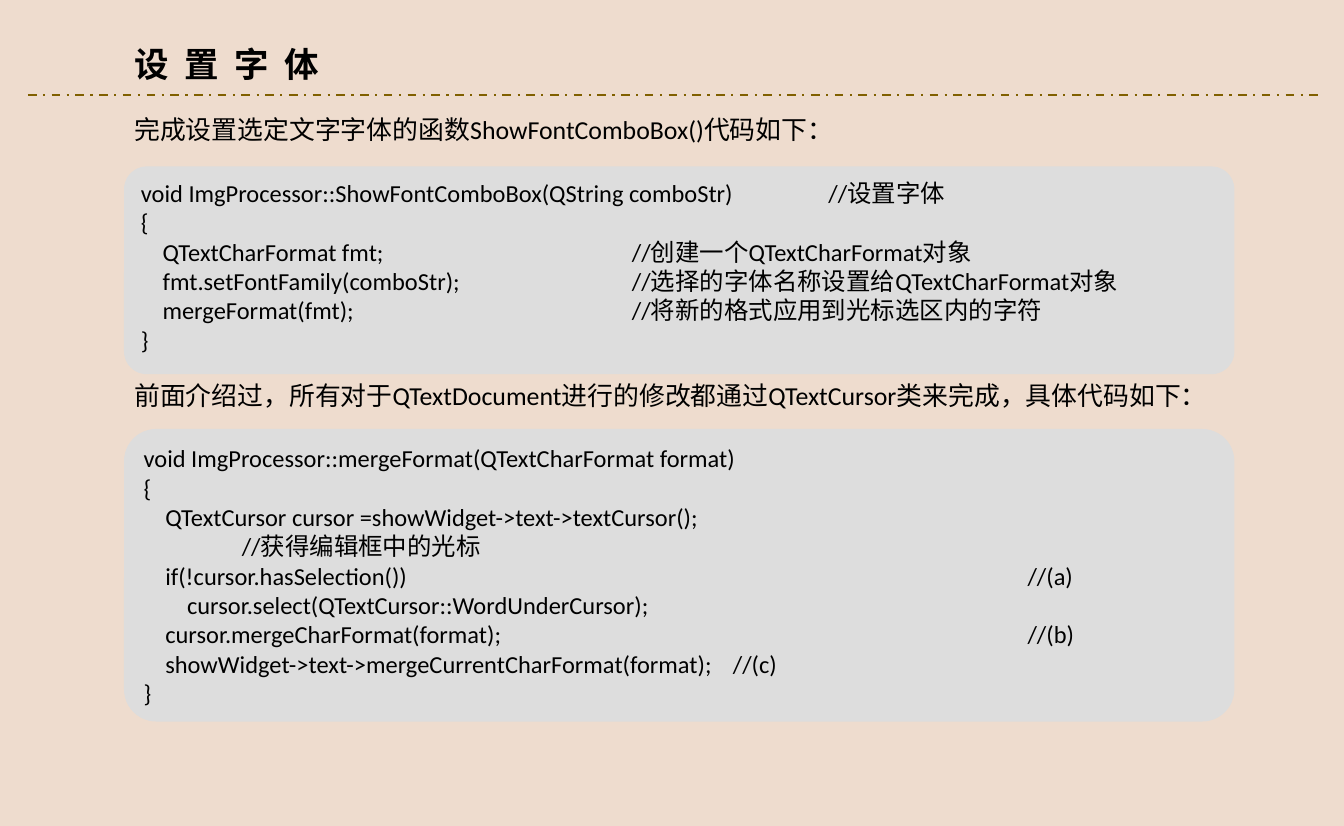
from dataclasses import dataclass

from lxml.etree import SubElement
from pptx import Presentation
from pptx.dml.color import RGBColor
from pptx.enum.dml import MSO_LINE
from pptx.enum.shapes import MSO_CONNECTOR, MSO_SHAPE
from pptx.enum.text import MSO_ANCHOR, MSO_AUTO_SIZE, PP_ALIGN
from pptx.oxml.ns import qn
from pptx.util import Inches, Pt

BACKGROUND = RGBColor(0xEE, 0xDC, 0xCE)
PANEL = RGBColor(0xDD, 0xDD, 0xDD)
RULE = RGBColor(0x80, 0x60, 0x00)
INK = RGBColor(0, 0, 0)
FONT = "Calibri"
LEFT = 1.2
PANEL_WIDTH = 10.74
CODE_INDENT = 0.21


@dataclass
class Line:
    code: str
    depth: int = 0
    comment: str = ""
    comment_at: float = 0


@dataclass
class Intro:
    text: str
    top: float
    width: float
    wrap: bool


@dataclass
class Panel:
    top: float
    height: float
    lines: list[Line]


INTROS = [
    Intro("完成设置选定文字字体的函数ShowFontComboBox()代码如下：", 1.05, 7.03, False),
    Intro("前面介绍过，所有对于QTextDocument进行的修改都通过QTextCursor类来完成，具体代码如下：",
          3.62, 10.9, True),
]
PANELS = [
    Panel(1.61, 2.01, [
        Line("void ImgProcessor::ShowFontComboBox(QString comboStr)", 0, "//设置字体", 6.65),
        Line("{"),
        Line("QTextCharFormat fmt;", 1, "//创建一个QTextCharFormat对象", 4.75),
        Line("fmt.setFontFamily(comboStr);", 1, "//选择的字体名称设置给QTextCharFormat对象", 4.75),
        Line("mergeFormat(fmt);", 1, "//将新的格式应用到光标选区内的字符", 4.75),
        Line("}"),
    ]),
    Panel(4.15, 2.83, [
        Line("void ImgProcessor::mergeFormat(QTextCharFormat format)"),
        Line("{"),
        Line("QTextCursor cursor =showWidget->text->textCursor();", 1),
        Line("", 0, "//获得编辑框中的光标", 0.95),
        Line("if(!cursor.hasSelection())", 1, "//(a)", 8.55),
        Line("cursor.select(QTextCursor::WordUnderCursor);", 2),
        Line("cursor.mergeCharFormat(format);", 1, "//(b)", 8.55),
        Line("showWidget->text->mergeCurrentCharFormat(format);", 1, "//(c)", 5.7),
        Line("}"),
    ]),
]


def add_run(p, text: str, size: float, bold: bool = False):
    p.alignment = PP_ALIGN.LEFT
    r = p.add_run()
    r.text = text
    r.font.name, r.font.size, r.font.bold = FONT, Pt(size), bold
    r.font.color.rgb = INK
    return r


def set_frame(tf, wrap: bool, auto_size: MSO_AUTO_SIZE) -> None:
    tf.word_wrap = wrap
    tf.auto_size = auto_size
    tf.vertical_anchor = MSO_ANCHOR.TOP


def set_tabs(p, stops: list[float]) -> None:
    tab_list = SubElement(p._p.get_or_add_pPr(), qn("a:tabLst"))
    for stop in stops:
        SubElement(tab_list, qn("a:tab"), pos=str(Inches(stop)), algn="l")


def add_title(s) -> None:
    title = s.shapes.title
    title.left, title.top = Inches(LEFT), Inches(0.37)
    title.width, title.height = Inches(2.01), Inches(0.5)
    set_frame(title.text_frame, False, MSO_AUTO_SIZE.SHAPE_TO_FIT_TEXT)
    r = add_run(title.text_frame.paragraphs[0], "设 置 字 体", 24, True)
    r.font._element.set("spc", "270")


def add_rule(s) -> None:
    rule = s.shapes.add_connector(MSO_CONNECTOR.STRAIGHT, Inches(0.27), Inches(0.92),
                                  Inches(12.79), Inches(0.92))
    rule.line.color.rgb = RULE
    rule.line.width = Pt(1.5)
    rule.line.dash_style = MSO_LINE.DASH_DOT
    SubElement(rule._element.spPr, qn("a:effectLst"))


def add_intro(s, intro: Intro) -> None:
    box = s.shapes.add_textbox(Inches(LEFT), Inches(intro.top), Inches(intro.width), Inches(0.4))
    set_frame(box.text_frame, intro.wrap, MSO_AUTO_SIZE.SHAPE_TO_FIT_TEXT)
    add_run(box.text_frame.paragraphs[0], intro.text, 18)


def add_panel(s, panel: Panel) -> None:
    sp = s.shapes.add_shape(MSO_SHAPE.ROUNDED_RECTANGLE, Inches(LEFT), Inches(panel.top),
                            Inches(PANEL_WIDTH), Inches(panel.height))
    sp.adjustments[0] = 0.11
    sp.shadow.inherit = False
    sp.fill.solid()
    sp.fill.fore_color.rgb = PANEL
    sp.line.fill.background()
    tf = sp.text_frame
    set_frame(tf, True, MSO_AUTO_SIZE.NONE)
    for i, line in enumerate(panel.lines):
        p = tf.add_paragraph() if i else tf.paragraphs[0]
        stops = [CODE_INDENT * (level + 1) for level in range(line.depth)]
        text = "\t" * line.depth + line.code
        if line.comment:
            stops.append(line.comment_at)
            text += "\t" + line.comment
        add_run(p, text, 17)
        if stops:
            set_tabs(p, stops)


def main() -> None:
    prs = Presentation()
    prs.slide_width, prs.slide_height = Inches(13), Inches(7.99)
    s = prs.slides.add_slide(prs.slide_layouts[5])
    s.background.fill.solid()
    s.background.fill.fore_color.rgb = BACKGROUND
    add_rule(s)
    add_title(s)
    for intro, panel in zip(INTROS, PANELS):
        add_intro(s, intro)
        add_panel(s, panel)
    prs.save("out.pptx")


if __name__ == "__main__":
    main()
